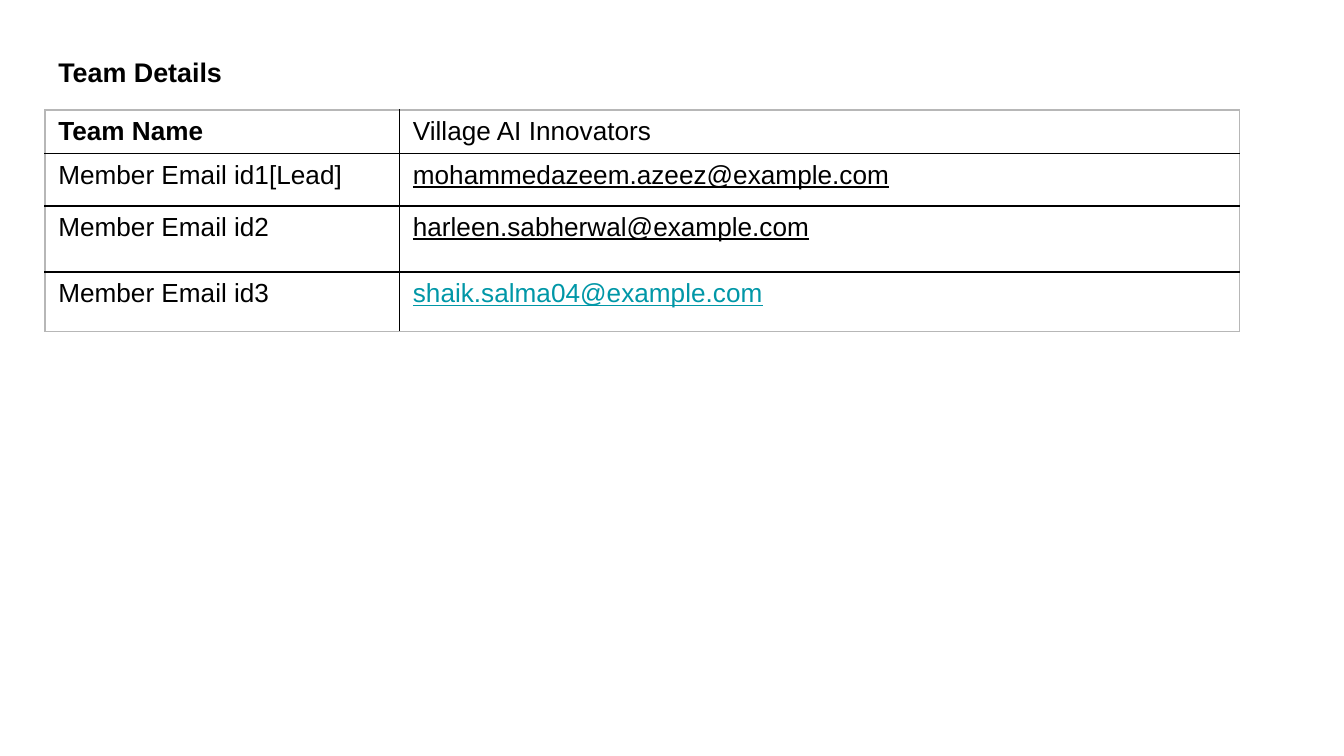
import pptx
import pptx.dml.color
import pptx.enum.text
import pptx.oxml
import pptx.oxml.ns
import pptx.util

Pt = pptx.util.Pt
BLACK = "000000"
GREY = "B7B7B7"
TEAL = "0097A7"
COLUMN_WIDTHS = (190, 450)
ROW_HEIGHTS = (23.3, 28, 35.5, 32)
MEMBERS = (
    ("Team Name", "Village AI Innovators"),
    ("Member Email id1[Lead]", "mohammedazeem.azeez@example.com"),
    ("Member Email id2", "harleen.sabherwal@example.com"),
    ("Member Email id3", "shaik.salma04@example.com"),
)


def color(value):
    """Return the colour for a hex string."""
    return pptx.dml.color.RGBColor.from_string(value)


def write_text(text_frame, text, size, value=BLACK, bold=False, underline=False):
    """Write one left-aligned paragraph in Arial."""
    paragraph = text_frame.paragraphs[0]
    paragraph.text = text
    paragraph.alignment = pptx.enum.text.PP_ALIGN.LEFT
    font = paragraph.font
    font.name = "Arial"
    font.size = Pt(size)
    font.bold = bold
    font.underline = underline
    font.color.rgb = color(value)


def set_borders(cell, borders):
    """Draw the four cell borders in the given colours."""
    properties = cell._tc.get_or_add_tcPr()
    namespace = pptx.oxml.ns.nsdecls("a")
    for index, (side, value) in enumerate(borders.items()):
        line = pptx.oxml.parse_xml(
            f'<a:ln{side} {namespace} w="{Pt(1)}"><a:solidFill>'
            f'<a:srgbClr val="{value}"/></a:solidFill></a:ln{side}>'
        )
        properties.insert(index, line)


def add_title(slide, text):
    """Place and format the slide title."""
    title = slide.shapes.title
    title.left, title.top, title.width, title.height = Pt(24), Pt(26), Pt(128), Pt(24.5)
    text_frame = title.text_frame
    text_frame.auto_size = pptx.enum.text.MSO_AUTO_SIZE.NONE
    text_frame.vertical_anchor = pptx.enum.text.MSO_ANCHOR.MIDDLE
    text_frame.margin_left = text_frame.margin_right = Pt(7.2)
    text_frame.margin_top = text_frame.margin_bottom = Pt(7.2)
    write_text(text_frame, text, 14.4, bold=True)


def add_team_table(slide):
    """Add the table of team name and member addresses."""
    last_row, last_column = len(ROW_HEIGHTS) - 1, len(COLUMN_WIDTHS) - 1
    table = slide.shapes.add_table(
        len(ROW_HEIGHTS), len(COLUMN_WIDTHS), Pt(24), Pt(59),
        Pt(sum(COLUMN_WIDTHS)), Pt(sum(ROW_HEIGHTS)),
    ).table
    table.first_row = table.horz_banding = False
    for column, width in zip(table.columns, COLUMN_WIDTHS):
        column.width = Pt(width)
    for row_index, (height, texts) in enumerate(zip(ROW_HEIGHTS, MEMBERS)):
        table.rows[row_index].height = Pt(height)
        for column_index, text in enumerate(texts):
            cell = table.cell(row_index, column_index)
            cell.fill.background()
            set_borders(cell, {
                "L": GREY if column_index == 0 else BLACK,
                "R": GREY if column_index == last_column else BLACK,
                "T": GREY if row_index == 0 else BLACK,
                "B": GREY if row_index == last_row else BLACK,
            })
            is_address = "@" in text
            write_text(
                cell.text_frame, text, 14,
                value=TEAL if is_address and row_index == last_row else BLACK,
                bold=row_index == 0 and column_index == 0,
                underline=is_address,
            )


def main():
    """Build and save the team details slide."""
    presentation = pptx.Presentation()
    presentation.slide_width, presentation.slide_height = Pt(720), Pt(405)
    slide = presentation.slides.add_slide(presentation.slide_layouts[5])
    add_title(slide, "Team Details")
    add_team_table(slide)
    presentation.save("out.pptx")


if __name__ == "__main__":
    main()
